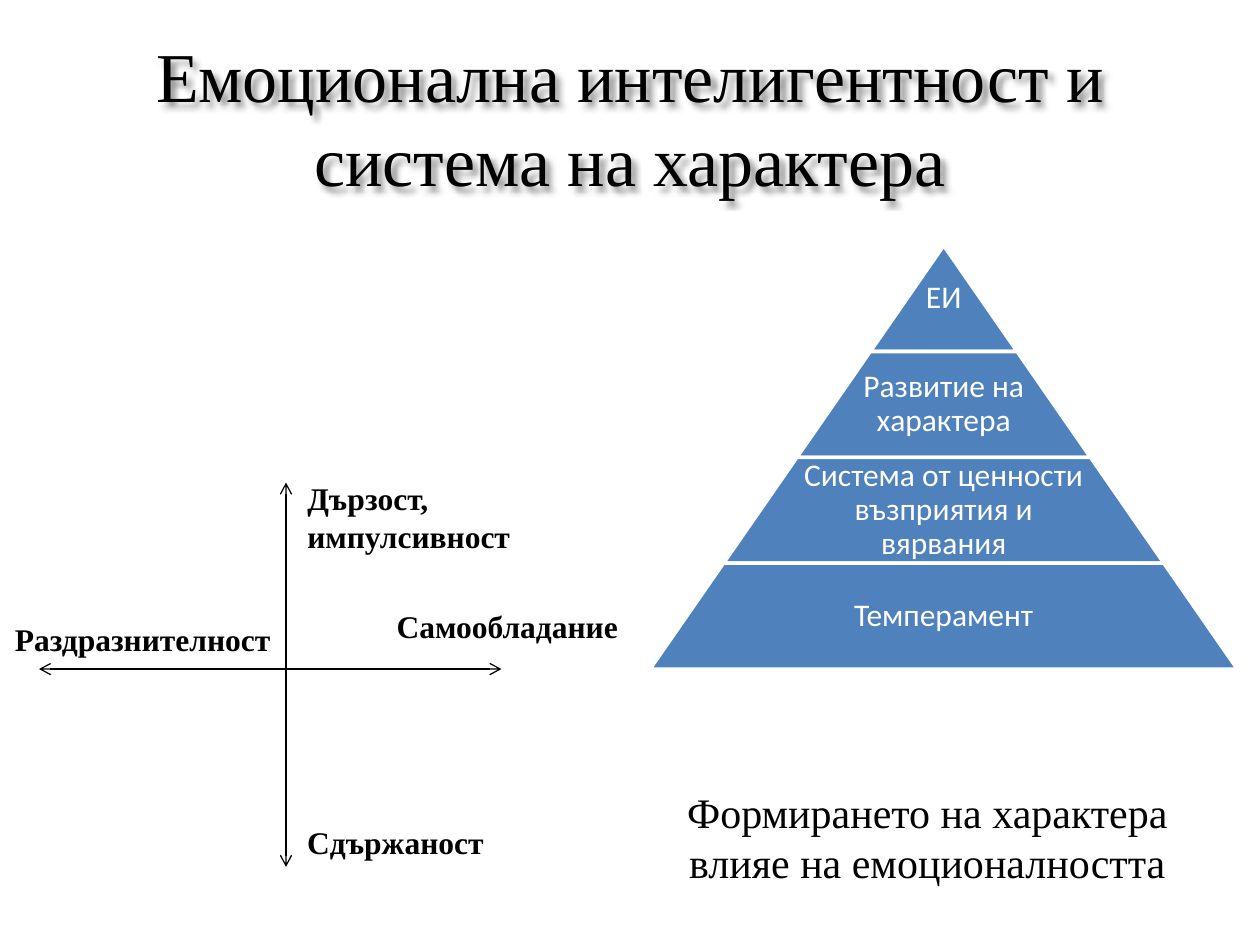
from lxml import etree
from pptx import Presentation
from pptx.dml.color import RGBColor
from pptx.enum.shapes import MSO_CONNECTOR, MSO_SHAPE
from pptx.enum.text import MSO_ANCHOR, PP_ALIGN
from pptx.oxml import parse_xml
from pptx.oxml.ns import nsdecls, qn
from pptx.util import Inches, Pt

TRAPEZOID = MSO_SHAPE.TRAPEZOID
STRAIGHT = MSO_CONNECTOR.STRAIGHT
MIDDLE, TOP = MSO_ANCHOR.MIDDLE, MSO_ANCHOR.TOP
CENTER, LEFT = PP_ALIGN.CENTER, PP_ALIGN.LEFT
SERIF, SANS = "Times New Roman", "Calibri"
BLACK, WHITE, BLUE = "000000", "FFFFFF", "4F81BD"

TITLE = "Емоционална интелигентност и система на характера"
TIERS = ["ЕИ", "Развитие на характера",
         "Система от ценности възприятия и вярвания", "Темперамент"]
AXES = [((2.265, 3.83), (2.265, 6.88)), ((0.31, 5.31), (3.98, 5.31))]
AXES = [((2.27, 3.83), (2.27, 6.88)), ((0.31, 5.31), (3.98, 5.31))]
AXIS_LABELS = [
    (["Дързост,", "импулсивност"], (2.34, 3.75, 2.11, 0.71)),
    (["Сдържаност"], (2.34, 6.48, 1.8, 0.4)),
    (["Раздразнителност"], (0.02, 4.87, 2.27, 0.4)),
    (["Самообладание"], (3.05, 4.77, 2.03, 0.4)),
]
CONCLUSION = "Формирането на характера влияе на емоционалността"


def color(value):
    return RGBColor.from_string(value)


def inches(box):
    return [Inches(value) for value in box]


def format_para(para, size, font, hue, align, bold=False):
    para.alignment = align
    para.font.size = Pt(size)
    para.font.name = font
    para.font.bold = bold
    para.font.color.rgb = color(hue)


def add_text(slide, lines, box, size, font=SERIF, hue=BLACK, align=LEFT,
             bold=False, anchor=TOP, inset=None, spacing=None):
    frame = slide.shapes.add_textbox(*inches(box)).text_frame
    frame.word_wrap = True
    frame.vertical_anchor = anchor
    if inset is not None:
        frame.margin_left = frame.margin_right = Inches(inset)
        frame.margin_top = frame.margin_bottom = Inches(inset)
    frame.text = "\n".join(lines)
    for para in frame.paragraphs:
        format_para(para, size, font, hue, align, bold)
        para.line_spacing = spacing


def add_title(slide, box):
    title = slide.shapes.title
    title.left, title.top, title.width, title.height = inches(box)
    frame = title.text_frame
    frame.text = TITLE
    frame.vertical_anchor = MIDDLE
    format_para(frame.paragraphs[0], 40, SERIF, BLACK, CENTER)
    # Soft shadow behind the letters, as the title has no fill
    shadow = parse_xml(
        f'<a:effectLst {nsdecls("a")}>'
        '<a:outerShdw blurRad="38100" dist="38100" dir="2700000" algn="tl">'
        '<a:srgbClr val="000000"><a:alpha val="43000"/></a:srgbClr>'
        '</a:outerShdw></a:effectLst>')
    title._element.spPr.append(shadow)


def add_pyramid(slide, box):
    left, top, width, height = box
    tier_height = height / len(TIERS)
    step = width / len(TIERS)
    slope = step / 2 / tier_height
    for index, label in enumerate(TIERS):
        tier_width = step * (index + 1)
        tier_left = left + (width - tier_width) / 2
        tier_top = top + index * tier_height
        tier = slide.shapes.add_shape(
            TRAPEZOID, *inches((tier_left, tier_top, tier_width, tier_height)))
        tier.adjustments[0] = slope
        tier.shadow.inherit = False
        tier.fill.solid()
        tier.fill.fore_color.rgb = color(BLUE)
        tier.line.color.rgb = color(WHITE)
        tier.line.width = Pt(2)
        # Labels below the tip keep clear of the sloping sides
        label_width = tier_width * (0.67 if index else 1)
        label_left = left + (width - label_width) / 2
        add_text(slide, [label], (label_left, tier_top, label_width, tier_height),
                 18, SANS, WHITE, CENTER, anchor=MIDDLE, inset=0.03, spacing=0.9)


def add_axis(slide, start, end):
    axis = slide.shapes.add_connector(STRAIGHT, *inches(start + end))
    axis.line.color.rgb = color(BLACK)
    axis.line.width = Pt(0.75)
    line = axis.line._get_or_add_ln()
    for tag in ("a:headEnd", "a:tailEnd"):
        etree.SubElement(line, qn(tag), type="arrow")
    etree.SubElement(axis._element.spPr, qn("a:effectLst"))


def add_temperament_axes(slide):
    for start, end in AXES:
        add_axis(slide, start, end)
    for lines, box in AXIS_LABELS:
        add_text(slide, lines, box, 18, bold=True)


def main():
    deck = Presentation()
    deck.slide_width, deck.slide_height = Inches(10), Inches(7.5)
    slide = deck.slides.add_slide(deck.slide_layouts[5])
    add_title(slide, (0.5, 0.3, 9, 1.25))
    add_pyramid(slide, (5.16, 1.95, 4.66, 3.36))
    add_temperament_axes(slide)
    add_text(slide, [CONCLUSION], (4.92, 6.19, 4.88, 0.91), 24, align=CENTER)
    deck.save("out.pptx")


if __name__ == "__main__":
    main()
